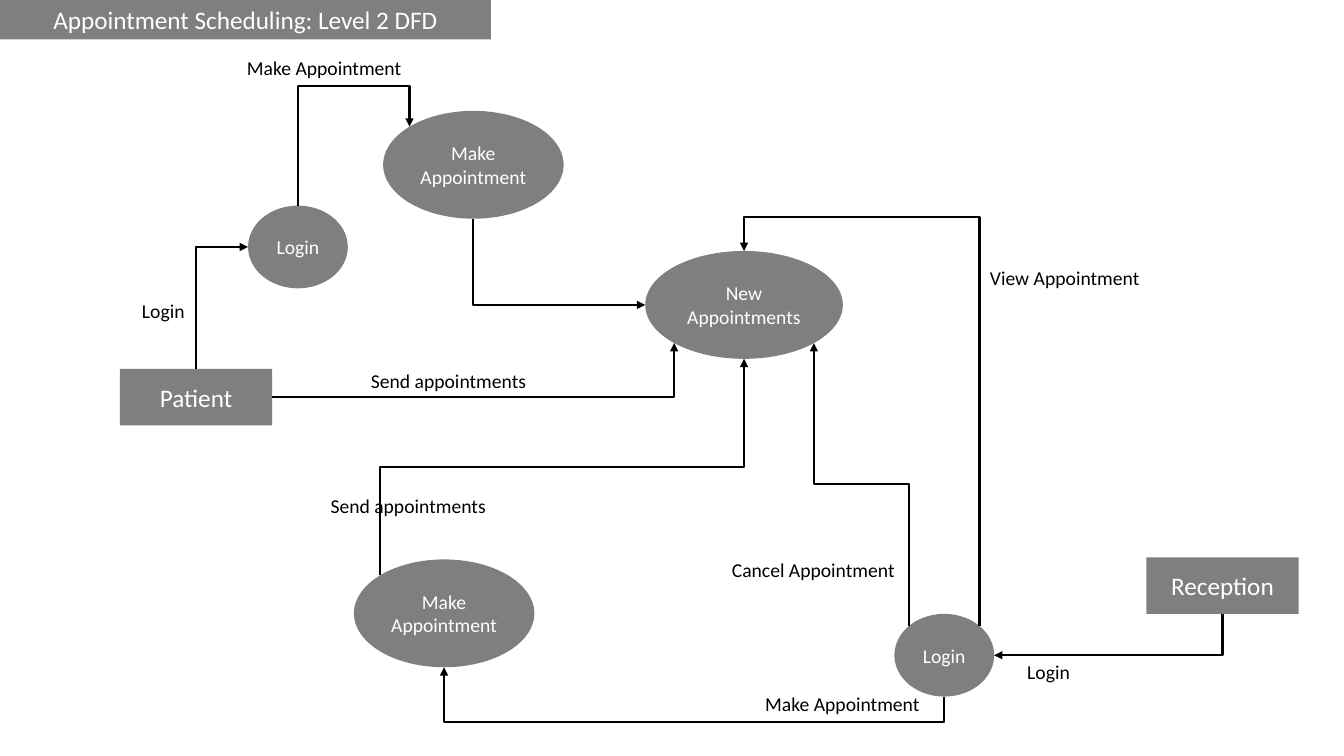
from math import sqrt
from lxml.etree import SubElement
from pptx import Presentation
from pptx.dml.color import RGBColor
from pptx.enum.shapes import MSO_CONNECTOR, MSO_SHAPE
from pptx.enum.text import MSO_ANCHOR, MSO_AUTO_SIZE, PP_ALIGN
from pptx.oxml.ns import qn
from pptx.util import Inches, Pt

HALF = sqrt(0.5)
RECT_SITES = [(0, -1), (-1, 0), (0, 1), (1, 0)]
OVAL_SITES = [(0, -1), (-HALF, -HALF), (-1, 0), (-HALF, HALF),
              (0, 1), (HALF, HALF), (1, 0), (HALF, -HALF)]


def color(code):
    """Turn a hex string into a colour."""
    return RGBColor.from_string(code)


class Diagram:
    """Hold the style and the slide of a data flow diagram."""
    font, ink, paper = "Calibri", "000000", "FFFFFF"
    big, small = 18, 14

    def __init__(self, deck):
        """Add a title-only slide to the deck."""
        self.slide = deck.slides.add_slide(deck.slide_layouts[5])
        self.shapes = self.slide.shapes

    def letter(self, shape, text, size, tone, align):
        """Put styled text in a shape."""
        frame = shape.text_frame
        frame.text = text
        for para in frame.paragraphs:
            para.alignment = align
            for run in para.runs:
                run.font.name = self.font
                run.font.size = Pt(size)
                run.font.color.rgb = color(tone)

    def paint(self, shape, text, size):
        """Give a shape the half-clear fill and centred text."""
        shape.fill.solid()
        shape.fill.fore_color.rgb = color(self.ink)
        tint = next(shape.element.spPr.iter(qn("a:srgbClr")))
        SubElement(tint, qn("a:alpha"), val="50000")
        shape.line.fill.background()
        frame = shape.text_frame
        frame.word_wrap = True
        frame.auto_size = MSO_AUTO_SIZE.NONE
        frame.vertical_anchor = MSO_ANCHOR.MIDDLE
        self.letter(shape, text, size, self.paper, PP_ALIGN.CENTER)

    def title(self, text, x, y, w, h):
        """Move and format the slide title."""
        shape = self.shapes.title
        shape.left, shape.top = Inches(x), Inches(y)
        shape.width, shape.height = Inches(w), Inches(h)
        self.paint(shape, text, self.big)

    def node(self, kind, text, size, x, y, w, h):
        """Add a filled node."""
        shape = self.shapes.add_shape(
            kind, Inches(x), Inches(y), Inches(w), Inches(h))
        shape.shadow.inherit = False
        self.paint(shape, text, size)
        return shape

    def entity(self, text, x, y):
        """Add an outside entity as a rectangle."""
        return self.node(MSO_SHAPE.RECTANGLE, text, self.big, x, y, 1.51, 0.56)

    def process(self, text, x, y, w=1.79, h=1.07):
        """Add a process as an ellipse."""
        return self.node(MSO_SHAPE.OVAL, text, self.small, x, y, w, h)

    def label(self, text, x, y, w):
        """Add the name of a flow."""
        box = self.shapes.add_textbox(
            Inches(x), Inches(y), Inches(w), Inches(0.34))
        box.text_frame.word_wrap = False
        box.text_frame.auto_size = MSO_AUTO_SIZE.SHAPE_TO_FIT_TEXT
        self.letter(box, text, self.small, self.ink, PP_ALIGN.LEFT)

    def site(self, shape, index):
        """Return the place of a connection site."""
        oval = shape.auto_shape_type == MSO_SHAPE.OVAL
        dx, dy = (OVAL_SITES if oval else RECT_SITES)[index]
        return (shape.left + shape.width * (1 + dx) / 2,
                shape.top + shape.height * (1 + dy) / 2)

    def flow(self, start, first, end, last, bend=None, upright=True):
        """Join two nodes with a bent arrow, turning at height bend if given."""
        (x1, y1), (x2, y2) = self.site(start, first), self.site(end, last)
        dx, dy = x2 - x1, y2 - y1
        wide, high = (abs(dy), abs(dx)) if upright else (abs(dx), abs(dy))
        left, top = (x1 + x2 - wide) / 2, (y1 + y2 - high) / 2
        line = self.shapes.add_connector(
            MSO_CONNECTOR.ELBOW, int(left), int(top),
            int(left + wide), int(top + high))
        line.line.color.rgb = color(self.ink)
        line.line.width = Pt(1.5)
        props = line.element.spPr
        frame = props.find(qn("a:xfrm"))
        if upright:
            frame.set("rot", "5400000")
        flips = (dy < 0, dx > 0) if upright else (dx < 0, dy < 0)
        for name, flip in zip(("flipH", "flipV"), flips):
            if flip:
                frame.set(name, "1")
        shape = props.find(qn("a:prstGeom"))
        if bend is None:
            shape.set("prst", "bentConnector2")
        else:
            ratio = round((Inches(bend) - y1) / dy * 100000)
            SubElement(shape.find(qn("a:avLst")), qn("a:gd"),
                       name="adj1", fmla=f"val {ratio}")
        SubElement(props.find(qn("a:ln")), qn("a:tailEnd"), type="triangle")
        SubElement(props, qn("a:effectLst"))
        joint = next(line.element.iter(qn("p:cNvCxnSpPr")))
        for tag, node, index in (("a:stCxn", start, first),
                                 ("a:endCxn", end, last)):
            SubElement(joint, qn(tag), id=str(node.shape_id), idx=str(index))


def main():
    """Build the slide and save it."""
    deck = Presentation()
    deck.slide_width, deck.slide_height = Inches(13.33), Inches(7.5)
    chart = Diagram(deck)
    chart.title("Appointment Scheduling: Level 2 DFD", 0, -0.01, 4.87, 0.4)

    patient = chart.entity("Patient", 1.19, 3.66)
    desk = chart.entity("Reception", 11.37, 5.53)
    upper = chart.process("Make Appointment", 3.8, 1.1)
    lower = chart.process("Make Appointment", 3.51, 5.55)
    fresh = chart.process("New Appointments", 6.4, 2.49, 1.96)
    entry = chart.process("Login", 2.46, 2.04, 0.99, 0.82)
    staff = chart.process("Login", 8.87, 6.09, 0.99, 0.82)

    chart.flow(patient, 0, entry, 2)
    chart.flow(entry, 0, upper, 1, 0.85)
    chart.flow(upper, 4, fresh, 2)
    chart.flow(patient, 3, fresh, 3, upright=False)
    chart.flow(desk, 2, staff, 6)
    chart.flow(staff, 4, lower, 4, 7.16)
    chart.flow(lower, 1, fresh, 4, 4.63)
    chart.flow(staff, 1, fresh, 5, 4.8)
    chart.flow(staff, 7, fresh, 0, 2.15)

    for text, x, y, w in (
            ("Login", 1.31, 2.92, 0.63),
            ("Make Appointment", 2.35, 0.51, 1.75),
            ("Send appointments", 3.58, 3.61, 1.76),
            ("Login", 10.09, 6.5, 0.63),
            ("Make Appointment", 7.49, 6.82, 1.75),
            ("Send appointments", 3.18, 4.85, 1.76),
            ("Cancel Appointment", 7.16, 5.49, 1.84),
            ("View Appointment", 9.72, 2.59, 1.7)):
        chart.label(text, x, y, w)
    deck.save("out.pptx")


if __name__ == "__main__":
    main()
